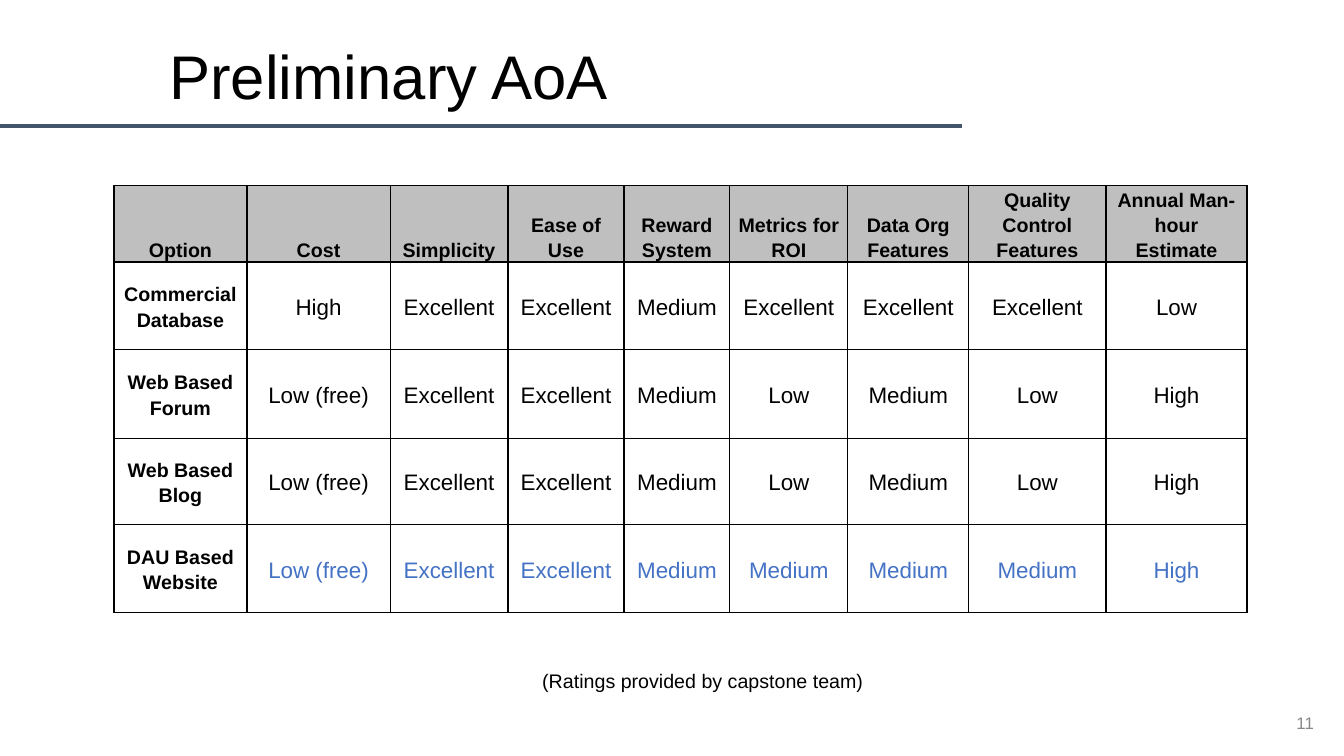
from dataclasses import dataclass

from lxml import etree
from pptx import Presentation
from pptx.dml.color import RGBColor
from pptx.enum.shapes import MSO_CONNECTOR
from pptx.enum.text import MSO_ANCHOR, PP_ALIGN
from pptx.oxml.ns import qn
from pptx.util import Inches, Pt

LEFT, CENTER, RIGHT = PP_ALIGN.LEFT, PP_ALIGN.CENTER, PP_ALIGN.RIGHT
MIDDLE, BOTTOM = MSO_ANCHOR.MIDDLE, MSO_ANCHOR.BOTTOM


@dataclass(frozen=True)
class Theme:
    font: str = "Arial"
    ink: str = "000000"
    rule: str = "44546A"
    head: str = "BFBFBF"
    pick: str = "4472C4"
    faint: str = "888888"
    title: int = 44
    body: int = 16
    label: int = 14
    small: int = 12


theme = Theme()


def write(frame, text, size=theme.label, color=theme.ink, bold=False,
          align=LEFT, space=1.0):
    """Fill a text frame, one paragraph for each line of text."""
    for i, line in enumerate(text.split("\n")):
        para = frame.paragraphs[0] if i == 0 else frame.add_paragraph()
        para.alignment = align
        para.line_spacing = space
        run = para.add_run()
        run.text = line
        run.font.name = theme.font
        run.font.size = Pt(size)
        run.font.bold = bold
        run.font.color.rgb = RGBColor.from_string(color)


def border(cell):
    """Draw a thin line on all four sides; call before setting the fill."""
    props = cell._tc.get_or_add_tcPr()
    for side in ("lnL", "lnR", "lnT", "lnB"):
        line = etree.SubElement(props, qn(f"a:{side}"), w=str(Pt(1)))
        fill = etree.SubElement(line, qn("a:solidFill"))
        etree.SubElement(fill, qn("a:srgbClr"), val=theme.ink)


prs = Presentation()
prs.slide_width, prs.slide_height = Inches(13.33), Inches(7.5)
slide = prs.slides.add_slide(prs.slide_layouts[5])

# Title and rule
title = slide.shapes.title
title.left, title.top = Inches(1.58), Inches(0.26)
title.width, title.height = Inches(10.31), Inches(0.96)
title.text_frame.vertical_anchor = MIDDLE
write(title.text_frame, "Preliminary AoA", size=theme.title)

rule = slide.shapes.add_connector(
    MSO_CONNECTOR.STRAIGHT, 0, Inches(1.25), Inches(9.54), Inches(1.25))
rule.line.color.rgb = RGBColor.from_string(theme.rule)
rule.line.width = Pt(2.25)
etree.SubElement(rule._element.spPr, qn("a:effectLst"))

# Ratings table
rows = [
    ["Option", "Cost", "Simplicity", "Ease of Use", "Reward System",
     "Metrics for ROI", "Data Org\nFeatures", "Quality Control Features",
     "Annual Man-hour\nEstimate"],
    ["Commercial Database", "High", "Excellent", "Excellent", "Medium",
     "Excellent", "Excellent", "Excellent", "Low"],
    ["Web Based Forum", "Low (free)", "Excellent", "Excellent", "Medium",
     "Low", "Medium", "Low", "High"],
    ["Web Based Blog", "Low (free)", "Excellent", "Excellent", "Medium",
     "Low", "Medium", "Low", "High"],
    ["DAU Based Website", "Low (free)", "Excellent", "Excellent", "Medium",
     "Medium", "Medium", "Medium", "High"],
]
widths = [1.32, 1.42, 1.17, 1.15, 1.05, 1.17, 1.2, 1.36, 1.4]
heights = [0.76, 0.87, 0.88, 0.85, 0.88]
table = slide.shapes.add_table(
    len(rows), len(widths), Inches(1.13), Inches(1.84),
    Inches(sum(widths)), Inches(sum(heights))).table
table.horz_banding = False
for col, width in zip(table.columns, widths):
    col.width = Inches(width)
for row, height in zip(table.rows, heights):
    row.height = Inches(height)

for r, row in enumerate(rows):
    for c, text in enumerate(row):
        cell = table.cell(r, c)
        head, label = r == 0, r == 0 or c == 0
        cell.margin_left = cell.margin_right = Inches(0.07)
        cell.margin_top = cell.margin_bottom = 0
        cell.vertical_anchor = BOTTOM if head else MIDDLE
        border(cell)
        if head:
            cell.fill.solid()
            cell.fill.fore_color.rgb = RGBColor.from_string(theme.head)
        else:
            cell.fill.background()
        chosen = r == len(rows) - 1 and not label
        write(cell.text_frame, text, bold=label, align=CENTER, space=1.15,
              size=theme.label if label else theme.body,
              color=theme.pick if chosen else theme.ink)

# Source note and page number
note = slide.shapes.add_textbox(
    Inches(5.28), Inches(6.59), Inches(3.46), Inches(0.34)).text_frame
note.word_wrap = False
write(note, "(Ratings provided by capstone team)")

page = slide.shapes.add_textbox(
    Inches(12.67), Inches(6.97), Inches(0.46), Inches(0.4)).text_frame
page.word_wrap = True
page.vertical_anchor = MIDDLE
write(page, "11", size=theme.small, color=theme.faint, align=RIGHT)

prs.save("out.pptx")
